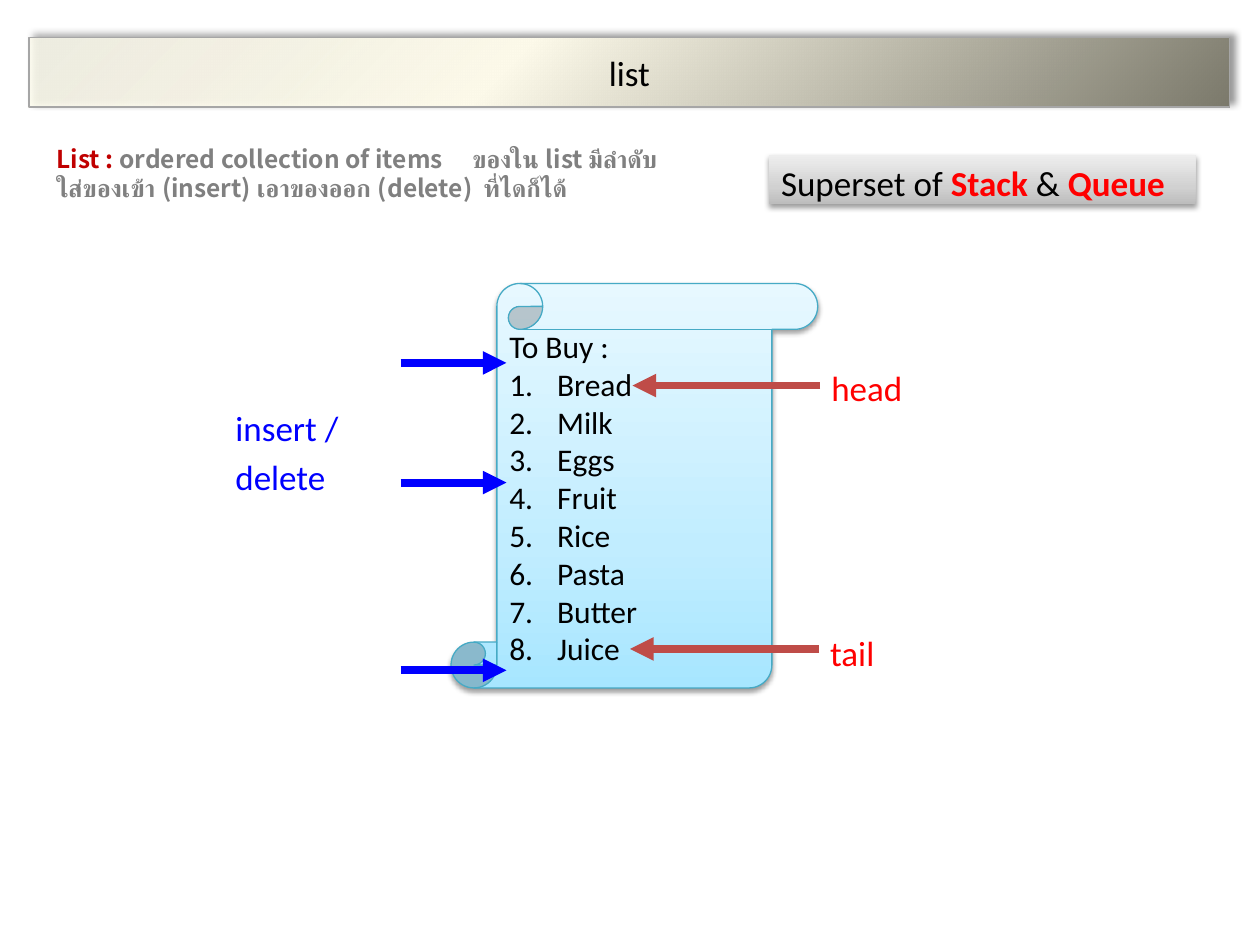
from lxml.etree import SubElement as Sub
from pptx import Presentation
from pptx.dml.color import RGBColor as RGB
from pptx.enum.shapes import MSO_CONNECTOR as Link, MSO_SHAPE as Kind
from pptx.enum.text import MSO_ANCHOR as Anchor, PP_ALIGN as Align
from pptx.oxml.ns import qn
from pptx.util import Inches, Pt

# Content: a paragraph is a list of (text, format) runs
BLACK, RED, BLUE, GREY = "000000", "FF0000", "0000FF", "808080"
BIG = {"size": Pt(20), "name": "Calibri"}
ITEM = {"size": Pt(18), "name": "Calibri", "color": BLACK}
NOTE = {"size": Pt(14), "name": "Noto Sans CJK JP", "bold": True}
HOT = {**BIG, "color": RED, "bold": True}
DARK = {**BIG, "color": BLACK}

GOODS = ["Bread", "Milk", "Eggs", "Fruit", "Rice", "Pasta", "Butter", "Juice"]
SUPER = [[("Superset of ", DARK), ("Stack", HOT), (" & ", DARK), ("Queue", HOT)]]
INTRO = [
    [("List : ", {**NOTE, "color": "C00000"}),
     ("ordered collection of items\tของใน list มีลำดับ", {**NOTE, "color": GREY})],
    [("ใส่ของเข้า (insert) เอาของออก (delete)  ที่ไดก็ได้", {**NOTE, "color": GREY})],
]
LABELS = [  # lines, colour, box
    (["head"], RED, (6.5, 2.86, 0.77, 0.36)),
    (["tail"], RED, (6.49, 4.96, 0.61, 0.36)),
    (["insert /", "delete"], BLUE, (1.77, 3.18, 1.36, 0.77)),
]
ENDS = [(6.51, 5.02, 3.06), (6.5, 5.0, 5.15)]  # from x, to x, y
SPOTS = [2.88, 3.83, 5.32]  # y of insert / delete arrows

# Gradient stops: place, colour, opacity
SAND = [(0, "FEFCEE", 79), (40, "FDFAEA", 100), (100, "7B796B", 100)]
SKY = [(0, "A7E6FF", 100), (35, "C1EDFF", 100), (100, "E7F8FF", 100)]
STEEL = [(0, "BDBDBD", 100), (35, "D1D1D1", 100), (100, "EEEEEE", 100)]


def paint(spot, code):
    spot.rgb = RGB.from_string(code)


def tint(parent, code, alpha):
    node = Sub(parent, qn("a:srgbClr"), val=code)
    if alpha < 100:
        Sub(node, qn("a:alpha"), val=str(alpha * 1000))


def style(shape, stops, angle, edge=None, shade=(38, 3.1, 1.6, 90)):
    """Gradient fill, thin edge and outer shadow."""
    shape.fill.gradient()
    shape.fill.gradient_angle = 360 - angle
    bag = shape._element.spPr.find(".//" + qn("a:gsLst"))
    for old in list(bag):
        bag.remove(old)
    for place, code, alpha in stops:
        tint(Sub(bag, qn("a:gs"), pos=str(place * 1000)), code, alpha)
    if edge:
        paint(shape.line.color, edge)
        shape.line.width = Pt(0.75)
    else:
        shape.line.fill.background()
    shape.shadow.inherit = False
    alpha, blur, dist, turn = shade
    glow = Sub(shape._element.spPr.find(qn("a:effectLst")), qn("a:outerShdw"),
               blurRad=str(Pt(blur)), dist=str(Pt(dist)),
               dir=str(turn * 60000), rotWithShape="0")
    tint(glow, BLACK, alpha)


def write(shape, paras, align=Align.LEFT, anchor=Anchor.TOP, **form):
    frame = shape.text_frame
    frame.word_wrap, frame.vertical_anchor = True, anchor
    for i, runs in enumerate(paras):
        para = frame.add_paragraph() if i else frame.paragraphs[0]
        para.alignment = align
        for key, val in form.items():
            setattr(para, key, val)
        for text, look in runs:
            run = para.add_run()
            run.text = text
            for key, val in look.items():
                if key == "color":
                    paint(run.font.color, val)
                else:
                    setattr(run.font, key, val)
    return frame.paragraphs


def arrow(x1, x2, y, code):
    line = slide.shapes.add_connector(
        Link.STRAIGHT, Inches(x1), Inches(y), Inches(x2), Inches(y))
    paint(line.line.color, code)
    line.line.width = Pt(4.5)
    Sub(line.line._get_or_add_ln(), qn("a:tailEnd"), type="triangle")
    Sub(line._element.spPr, qn("a:effectLst"))


def box(*dims):
    return [Inches(d) for d in dims]


deck = Presentation()
deck.slide_width, deck.slide_height = box(10, 7.5)
slide = deck.slides.add_slide(deck.slide_layouts[5])
shapes = slide.shapes

# Title bar
title = shapes.title
title.left, title.top, title.width, title.height = box(0.23, 0.3, 9.53, 0.55)
style(title, SAND, 45, "A6A6A6", (40, 4, 3, 315))
write(title, [[("list", DARK)]], Align.CENTER, Anchor.MIDDLE)

# Shopping scroll with a numbered list
scroll = shapes.add_shape(Kind.VERTICAL_SCROLL, *box(3.58, 2.25, 2.91, 3.21))
style(scroll, SKY, 270, "46AAC5")
rows = write(scroll, [[(t, ITEM)] for t in ["To Buy :", *GOODS]], anchor=Anchor.MIDDLE)
for row in rows[1:]:
    props = row._p.get_or_add_pPr()
    props.set("marL", str(Inches(0.38)))
    props.set("indent", str(Inches(-0.38)))
    Sub(props, qn("a:buFont"), typeface="+mj-lt")
    Sub(props, qn("a:buAutoNum"), type="arabicPeriod")

# Superset banner
banner = shapes.add_shape(Kind.RECTANGLE, *box(6.1, 1.23, 3.39, 0.39))
style(banner, STEEL, 270)
write(banner, SUPER, space_before=Pt(4))

# Arrows and their labels
for x1, x2, y in ENDS:
    arrow(x1, x2, y, "BF4C48")
for y in SPOTS:
    arrow(3.18, 4.02, y, BLUE)
for lines, code, dims in LABELS:
    write(shapes.add_textbox(*box(*dims)),
          [[(t, {**BIG, "color": code})] for t in lines], space_before=Pt(4))

# Definition, with a tab stop before the Thai gloss
intro = write(shapes.add_textbox(*box(0.35, 1.1, 5.75, 0.76)), INTRO,
              line_spacing=Pt(16.6))
tabs = Sub(intro[0]._p.get_or_add_pPr(), qn("a:tabLst"))
Sub(tabs, qn("a:tab"), pos=str(Inches(3.3)), algn="l")

deck.save("out.pptx")
